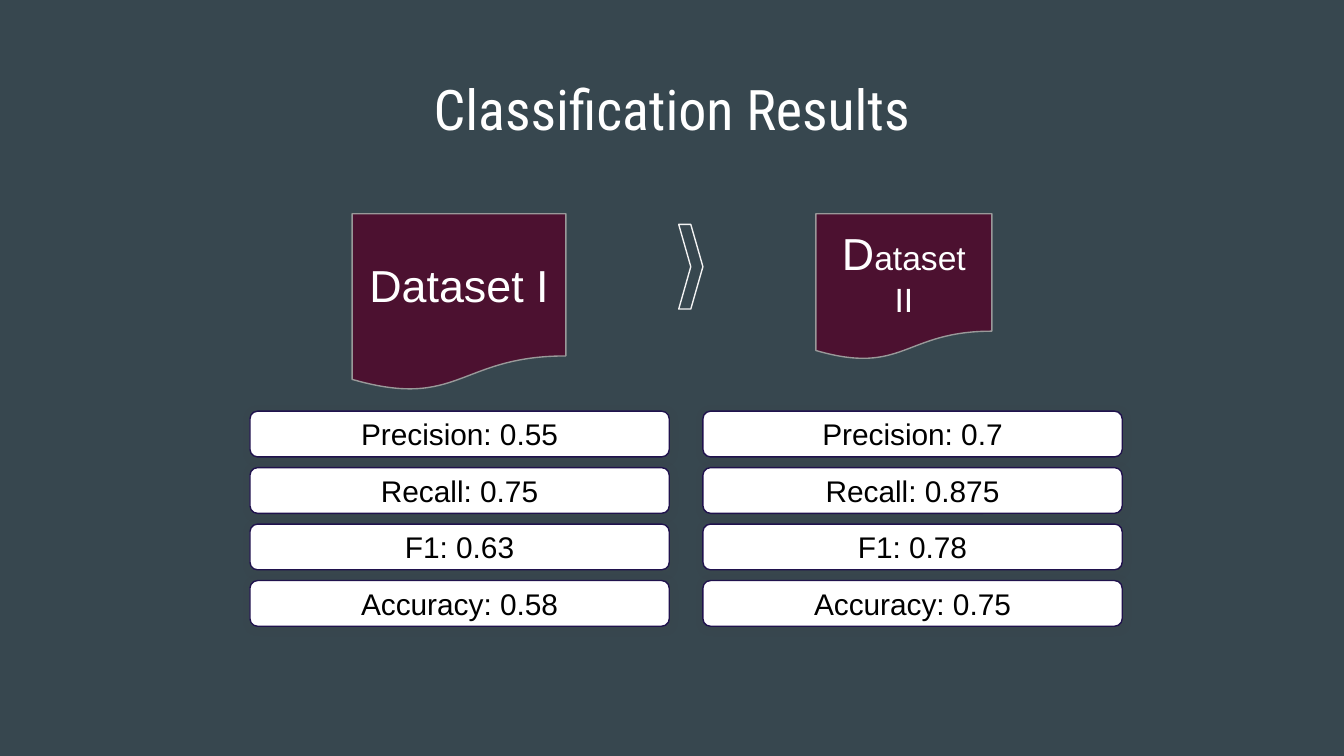
from lxml import etree
from pptx import Presentation
from pptx.dml.color import RGBColor
from pptx.enum.shapes import MSO_SHAPE
from pptx.enum.text import MSO_ANCHOR, PP_ALIGN
from pptx.oxml.ns import qn
from pptx.util import Inches, Pt

DOCUMENT = MSO_SHAPE.FLOWCHART_DOCUMENT
CHEVRON = MSO_SHAPE.CHEVRON
ROUNDED = MSO_SHAPE.ROUNDED_RECTANGLE
MIDDLE = MSO_ANCHOR.MIDDLE
CENTER = PP_ALIGN.CENTER

THEME = {
    "background": "37474F", "light": "FFFFFF", "dark": "000000",
    "document": "4C1130", "document_line": "999999",
    "chevron_line": "F3F3F3", "card_line": "20124D", "shadow": "434343",
    "title_font": "Roboto Condensed", "body_font": "Arial",
    "title_size": 30, "large": 24, "medium": 18, "card_size": 16,
}
FRAME = {"word_wrap": True, "vertical_anchor": MIDDLE,
         "margin_left": Inches(0.1), "margin_right": Inches(0.1),
         "margin_top": Inches(0.1), "margin_bottom": Inches(0.1)}


def write(sp, runs, font, color):
    """Fill a shape with one centred paragraph of (text, size) runs."""
    tf = sp.text_frame
    for name, value in FRAME.items():
        setattr(tf, name, value)
    p = tf.paragraphs[0]
    p.alignment = CENTER
    for text, size in runs:
        r = p.add_run()
        r.text = text
        for name, value in {"name": font, "size": Pt(size), "bold": False}.items():
            setattr(r.font, name, value)
        r.font.color.rgb = RGBColor.from_string(color)


def add_box(kind, box, line, fill=None):
    """Add an outlined preset shape without shadow; box is in inches."""
    sp = slide.shapes.add_shape(kind, *map(Inches, box))
    sp.shadow.inherit = False
    if fill:
        sp.fill.solid()
        sp.fill.fore_color.rgb = RGBColor.from_string(fill)
    else:
        sp.fill.background()
    sp.line.color.rgb = RGBColor.from_string(line)
    sp.line.width = Pt(0.75)
    return sp


# Widescreen slide and background
prs = Presentation()
prs.slide_width = Inches(10)
prs.slide_height = prs.slide_width * 9 // 16
slide = prs.slides.add_slide(prs.slide_layouts[5])
slide.background.fill.solid()
slide.background.fill.fore_color.rgb = RGBColor.from_string(THEME["background"])

# Title
title = slide.shapes.title
title.left, title.top, title.width, title.height = map(Inches, (0.34, 0.49, 9.32, 0.63))
write(title, [("Classification Results", THEME["title_size"])],
      THEME["title_font"], THEME["light"])

# Dataset documents, aligned at the top
DOCUMENT_TOP = 1.59
documents = [
    (2.62, 1.59, 1.32, [("Dataset I", THEME["large"])]),
    (6.07, 1.31, 1.09, [("D", THEME["large"]), ("ataset II", THEME["medium"])]),
]
for left, width, height, runs in documents:
    sp = add_box(DOCUMENT, (left, DOCUMENT_TOP, width, height),
                 THEME["document_line"], THEME["document"])
    write(sp, runs, THEME["body_font"], THEME["light"])

# Chevron between the documents
add_box(CHEVRON, (5.05, 1.67, 0.18, 0.63), THEME["chevron_line"])

# Score cards: one column per dataset, one row per metric
GRID_LEFT, GRID_TOP, COL_STEP, ROW_STEP = 1.86, 3.06, 3.37, 0.42
CARD_WIDTH, CARD_HEIGHT = 3.12, 0.34
scores = [
    ("Precision", "0.55", "0.7"),
    ("Recall", "0.75", "0.875"),
    ("F1", "0.63", "0.78"),
    ("Accuracy", "0.58", "0.75"),
]
for row, (metric, *values) in enumerate(scores):
    for col, value in enumerate(values):
        box = (GRID_LEFT + col * COL_STEP, GRID_TOP + row * ROW_STEP,
               CARD_WIDTH, CARD_HEIGHT)
        sp = add_box(ROUNDED, box, THEME["card_line"], THEME["light"])
        write(sp, [(f"{metric}: {value}", THEME["card_size"])],
              THEME["body_font"], THEME["dark"])
        # Soft shadow: 71 degrees, 23 % opaque
        effects = sp.element.spPr.find(qn("a:effectLst"))
        shadow = etree.SubElement(effects, qn("a:outerShdw"), blurRad=str(Pt(4.5)),
                                  dist=str(Pt(0.75)), dir=str(71 * 60000),
                                  algn="bl", rotWithShape="0")
        color = etree.SubElement(shadow, qn("a:srgbClr"), val=THEME["shadow"])
        etree.SubElement(color, qn("a:alpha"), val="23000")

prs.save("out.pptx")
